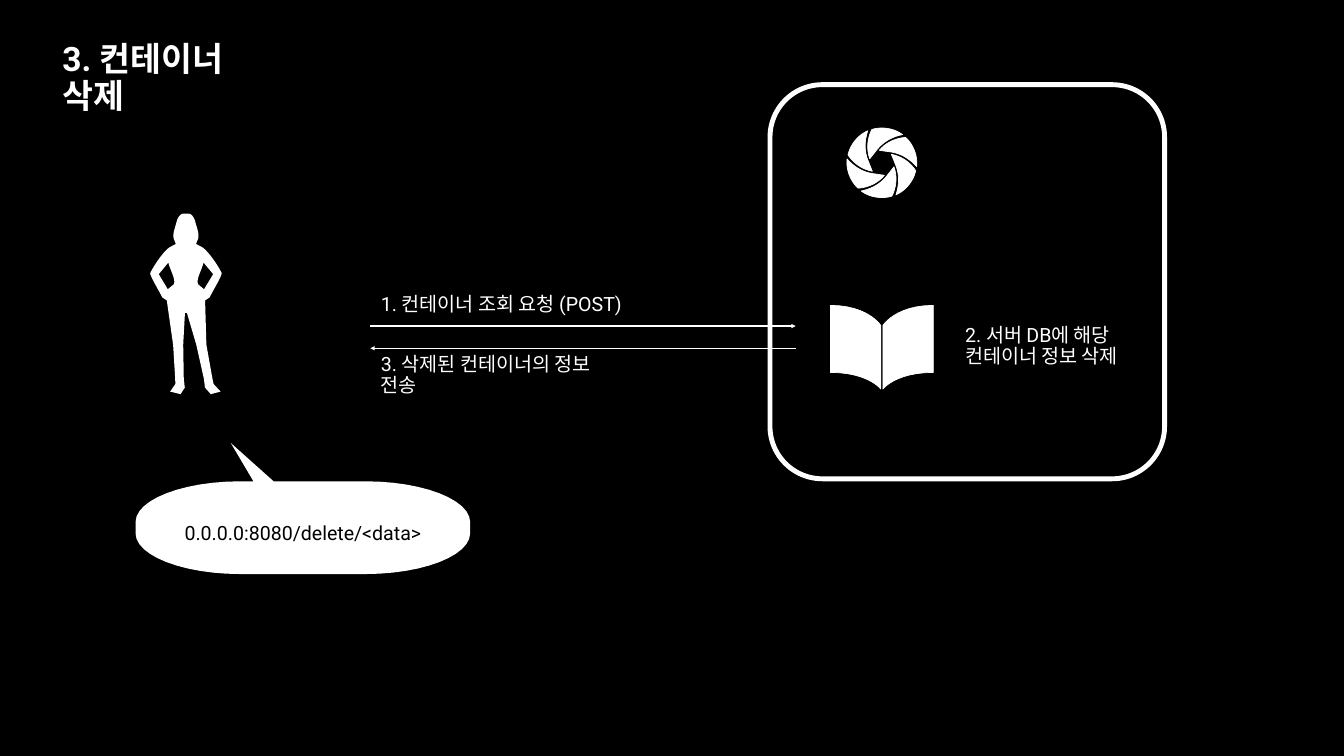
import math
from dataclasses import dataclass

import pptx
import pptx.dml.color
import pptx.enum.shapes
import pptx.enum.text
import pptx.oxml.ns
import pptx.util
from lxml import etree

Inches, Pt = pptx.util.Inches, pptx.util.Pt
PP_ALIGN = pptx.enum.text.PP_ALIGN
qn = pptx.oxml.ns.qn


@dataclass(frozen=True)
class Theme:
    dark: pptx.dml.color.RGBColor = pptx.dml.color.RGBColor(0, 0, 0)
    light: pptx.dml.color.RGBColor = pptx.dml.color.RGBColor(255, 255, 255)
    font: str = "Roboto"
    title: int = 48
    body: int = 28
    inset: float = 0.06
    thin: int = 1
    arrow: int = 2
    frame: int = 7


THEME = Theme()


# Outline helpers
def flatten(outline, steps=12):
    """Turn (x, y) points and (x1, y1, x2, y2, x, y) curves into points."""
    points = []
    for seg in outline:
        if len(seg) == 2:
            points.append(seg)
            continue
        start, *handles = points[-1], seg[:2], seg[2:4], seg[4:]
        curve = [start, *handles]
        for i in range(1, steps + 1):
            t = i / steps
            weights = [math.comb(3, k) * (1 - t) ** (3 - k) * t ** k for k in range(4)]
            points.append(tuple(sum(w * pt[axis] for w, pt in zip(weights, curve))
                                for axis in (0, 1)))
    return points


def mirror(points, axis=0):
    return [(2 * axis - x, y) for x, y in points]


def rotate(points, angle):
    c, s = math.cos(angle), math.sin(angle)
    return [(c * x - s * y, s * x + c * y) for x, y in points]


def add_outline(slide, x, y, contours, line_width=None):
    """Draw closed contours, relative to (x, y), as one light shape."""
    builder = None
    for contour in contours:
        first, *rest = [(Inches(x + px), Inches(y + py)) for px, py in contour]
        if builder is None:
            builder = slide.shapes.build_freeform(*first, scale=1.0)
        else:
            builder.move_to(*first)
        builder.add_line_segments(rest, close=True)
    sp = builder.convert_to_shape()
    sp.shadow.inherit = False
    sp.fill.solid()
    sp.fill.fore_color.rgb = THEME.light
    if line_width:
        sp.line.color.rgb = THEME.light
        sp.line.width = Pt(line_width)
    else:
        sp.line.fill.background()
    return sp


# Text and arrows
def set_text(sp, text, size, color=THEME.light, bold=False, align=PP_ALIGN.LEFT):
    tf = sp.text_frame
    tf.word_wrap = True
    tf.auto_size = pptx.enum.text.MSO_AUTO_SIZE.NONE
    tf.vertical_anchor = pptx.enum.text.MSO_ANCHOR.MIDDLE
    tf.margin_left = tf.margin_right = Inches(THEME.inset)
    tf.margin_top = tf.margin_bottom = Inches(THEME.inset)
    tf.text = text
    p = tf.paragraphs[0]
    p.alignment = align
    p.line_spacing = 0.9
    p.font.name, p.font.size, p.font.bold = THEME.font, Pt(size), bold
    p.font.color.rgb = color
    return tf


def add_title(slide, x, y, w, h, text):
    sp = slide.shapes.title
    sp.left, sp.top, sp.width, sp.height = map(Inches, (x, y, w, h))
    set_text(sp, text, THEME.title, bold=True)


def add_label(slide, x, y, w, h, text):
    sp = slide.shapes.add_textbox(*map(Inches, (x, y, w, h)))
    set_text(sp, text, THEME.body)


def add_arrow(slide, x1, x2, y):
    arrow = slide.shapes.add_connector(pptx.enum.shapes.MSO_CONNECTOR.STRAIGHT,
                                       *map(Inches, (x1, y, x2, y)))
    arrow.line.color.rgb = THEME.light
    arrow.line.width = Pt(THEME.arrow)
    properties = arrow._element.spPr
    etree.SubElement(properties.find(qn("a:ln")), qn("a:tailEnd"), type="triangle")
    etree.SubElement(properties, qn("a:effectLst"))


# Person with hands on hips: one half is described, the other is mirrored
def add_person(slide, x, y):
    center, crotch_y, lean = 0.71, 1.97, 0.12
    crown, temple, hair_tip = (0.06, 0), (0.18, 0.14), (0.24, 0.5)
    neck, shoulder, elbow = (0.2, 0.6), (0.33, 0.67), (0.71, 1.18)
    wrist, hip, knee = (0.47, 1.66), (0.38, 1.72), (0.33, 2.6)
    ankle, heel, toe = (0.37, 3.28), (0.38, 3.38), (0.5, 3.53)
    sole, inner_foot = (0.3, 3.58), (0.2, 3.45)
    inner_ankle, inner_knee, crotch = (0.2, 3.28), (0.13, 2.6), (0.02, crotch_y)
    half = flatten([
        crown, (0.14, 0.01, *temple, *temple), (0.22, 0.3, 0.27, 0.4, *hair_tip),
        neck, shoulder, (0.45, 0.75, 0.65, 1.05, *elbow),
        (0.7, 1.26, 0.55, 1.5, *wrist), hip, knee, ankle, heel,
        toe, sole, inner_foot, inner_ankle, inner_knee, crotch,
    ])
    armpit, inner_elbow, inner_wrist, waist = (0.35, 0.97), (0.54, 1.2), (0.36, 1.5), (0.24, 1.4)
    arm_gap = flatten([armpit, inner_elbow, inner_wrist, waist, (0.2, 1.3, 0.3, 1.15, *armpit)])

    def place(points):
        return [(center + px + lean * max(0, py - crotch_y), py) for px, py in points]

    body = half + mirror(half)[::-1]
    add_outline(slide, x, y, [place(part) for part in (body, arm_gap, mirror(arm_gap))])


# Speech bubble: a rounded body under a pointed tail
def add_speech_bubble(slide, x, y, text):
    w, top, bottom = 6.64, 0.76, 2.6
    rx, ry = 2.08, 0.81
    kx, ky = rx * 0.45, ry * 0.45
    tip, tail_left, tail_right = (1.89, 0), (2.34, top), (2.74, top)
    sp = add_outline(slide, x, y, [flatten([
        tip, tail_left, (rx, top),
        (kx, top, 0, top + ky, 0, top + ry), (0, bottom - ry),
        (0, bottom - ky, kx, bottom, rx, bottom), (w - rx, bottom),
        (w - kx, bottom, w, bottom - ky, w, bottom - ry), (w, top + ry),
        (w, top + ky, w - kx, top, w - rx, top), tail_right,
    ])])
    tf = set_text(sp, text, THEME.body, THEME.dark, align=PP_ALIGN.CENTER)
    tf.margin_top = Inches(1.08)


# Server: a frame holding a shutter, a book and a label
def add_shutter(slide, cx, cy, blades=6):
    rim_start, rim_end, inner_tip = (0, -0.69), (0.41, -0.56), (-0.24, -0.08)
    blade = flatten([
        rim_start, (-0.07, -0.69, -0.14, -0.68, -0.2, -0.66),
        (-0.25, -0.56, -0.33, -0.34, *inner_tip), (-0.13, -0.22),
        (0.04, -0.46, 0.27, -0.53, *rim_end), (0.3, -0.64, 0.16, -0.69, *rim_start),
    ])
    add_outline(slide, cx, cy, [rotate(blade, i * math.tau / blades) for i in range(blades)],
                THEME.thin)


def add_book(slide, x, y, w=2.04):
    outer_top, outer_bottom = (0, 0), (0, 1.33)
    spine_top, spine_bottom = (1, 0.4), (1, 1.66)
    page = flatten([outer_top, outer_bottom, (0.75, 1.33, *spine_bottom, *spine_bottom),
                    spine_top, (*spine_top, 0.75, 0, *outer_top)])
    add_outline(slide, x, y, [page, mirror(page, w / 2)], THEME.thin)


def add_server(slide, x, y, w, h, text):
    frame = slide.shapes.add_shape(pptx.enum.shapes.MSO_SHAPE.ROUNDED_RECTANGLE,
                                   *map(Inches, (x, y, w, h)))
    frame.adjustments[0] = 0.133
    frame.shadow.inherit = False
    frame.fill.background()
    frame.line.color.rgb = THEME.light
    frame.line.width = Pt(THEME.frame)
    add_shutter(slide, x + 2.22, y + 1.55)
    add_book(slide, x + 1.2, y + 4.38)
    add_label(slide, x + 3.81, y + 4.72, 3.44, 0.97, text)


# Exchange: the request above, the response below
def add_exchange(slide, x, y, w, request, response):
    gap, label_offset, label_h = 0.44, 0.15, 0.55
    add_label(slide, x + label_offset, y - 0.7, 5.26, label_h, request)
    add_arrow(slide, x, x + w, y)
    add_arrow(slide, x + w, x, y + gap)
    add_label(slide, x + label_offset, y + 0.7, 4.91, label_h, response)


prs = pptx.Presentation()
prs.slide_width, prs.slide_height = Inches(26.67), Inches(15)
title_only = prs.slide_layouts.get_by_name("Title Only")
slide = prs.slides.add_slide(title_only)
slide.background.fill.solid()
slide.background.fill.fore_color.rgb = THEME.dark

add_title(slide, 1.18, 1.14, 4.62, 0.86, "3. 컨테이너 삭제")
add_person(slide, 2.98, 4.24)
add_speech_bubble(slide, 2.69, 8.79, "0.0.0.0:8080/delete/<data>")
add_server(slide, 15.28, 1.68, 7.83, 7.82, "2. 서버 DB에 해당 컨테이너 정보 삭제")
add_exchange(slide, 7.35, 6.47, 8.44,
             "1. 컨테이너 조회 요청 (POST)", "3. 삭제된 컨테이너의 정보 전송")

prs.save("out.pptx")
